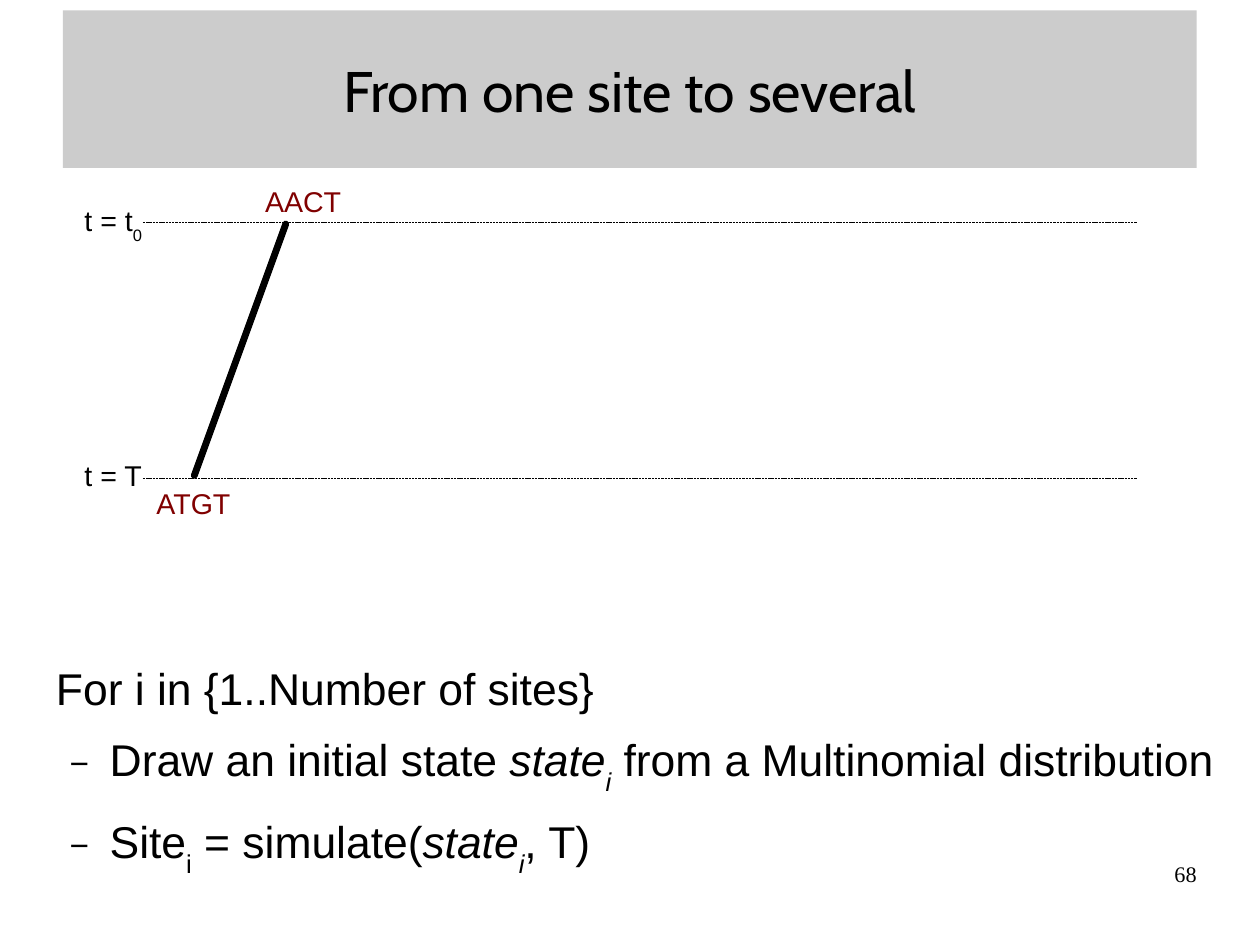
from lxml import etree
from pptx import Presentation
from pptx.dml.color import RGBColor
from pptx.enum.dml import MSO_LINE
from pptx.enum.shapes import MSO_CONNECTOR
from pptx.enum.text import MSO_ANCHOR, PP_ALIGN
from pptx.oxml.ns import qn
from pptx.util import Inches, Pt

STRAIGHT = MSO_CONNECTOR.STRAIGHT
DOTTED = MSO_LINE.SQUARE_DOT
MIDDLE = MSO_ANCHOR.MIDDLE
LEFT, CENTER, RIGHT = PP_ALIGN.LEFT, PP_ALIGN.CENTER, PP_ALIGN.RIGHT

COLORS = {"text": "000000", "band": "CCCCCC", "sequence": "800000"}
CM_PER_INCH = 2.54
TITLE_LAYOUT = 5
TIME_LINES = (1.95, 4.19)
STEPS = [
    [("Draw an initial state ", ""), ("state", "italic"), ("i", "italic sub"),
     (" from a Multinomial distribution", "")],
    [("Site", ""), ("i", "sub"), (" = simulate(", ""), ("state", "italic"),
     ("i", "italic sub"), (", T)", "")],
]


def color(name):
    """Return the named colour."""
    return RGBColor.from_string(COLORS[name])


def set_margins(frame, side, end):
    """Set the horizontal and vertical insets of a text frame."""
    frame.margin_left = frame.margin_right = Inches(side)
    frame.margin_top = frame.margin_bottom = Inches(end)


def add_spans(para, spans, size, ink="text", font="Arial"):
    """Fill a paragraph with styled runs."""
    for text, style in spans:
        span = para.add_run()
        span.text = text
        span.font.size = Pt(size)
        span.font.name = font
        span.font.color.rgb = color(ink)
        if "italic" in style:
            span.font.italic = True
        if "sub" in style:
            span._r.get_or_add_rPr().set("baseline", "-33000")


def add_box(page, left, top, width, height, margins=(0, 0), wrap=True):
    """Add an empty text box and return its frame."""
    box = page.shapes.add_textbox(Inches(left), Inches(top), Inches(width), Inches(height))
    frame = box.text_frame
    frame.word_wrap = wrap
    set_margins(frame, *margins)
    return frame


def add_label(page, left, top, width, spans, ink="text"):
    """Add a one-line diagram label."""
    frame = add_box(page, left, top, width, 0.39, (0.1, 0.05), False)
    frame.paragraphs[0].alignment = LEFT
    add_spans(frame.paragraphs[0], spans, 18, ink)


def add_line(page, start, end, width):
    """Add a plain black line and return it."""
    line = page.shapes.add_connector(STRAIGHT, *map(Inches, start + end))
    line.line.color.rgb = color("text")
    line.line.width = Pt(width)
    etree.SubElement(line._element.spPr, qn("a:effectLst"))
    return line


def add_title(page, text):
    """Place the title on its grey band."""
    title = page.shapes.title
    title.left, title.top = Inches(0.55), Inches(0.09)
    title.width, title.height = Inches(9.92), Inches(1.38)
    title.fill.solid()
    title.fill.fore_color.rgb = color("band")
    frame = title.text_frame
    set_margins(frame, 0, 0)
    frame.vertical_anchor = MIDDLE
    frame.paragraphs[0].alignment = CENTER
    add_spans(frame.paragraphs[0], [(text, "")], 36, font="Cabin")


def indent(para, left, hanging=0):
    """Set the left margin and hanging indent of a paragraph."""
    properties = para._p.get_or_add_pPr()
    properties.set("marL", str(Inches(left)))
    properties.set("indent", str(-Inches(hanging)))
    return properties


def add_bullet(para):
    """Give a paragraph a small dash bullet."""
    properties = indent(para, 0.94, 0.35)
    tint = etree.SubElement(properties, qn("a:buClr"))
    etree.SubElement(tint, qn("a:srgbClr"), val=COLORS["text"])
    etree.SubElement(properties, qn("a:buSzPct"), val="75000")
    etree.SubElement(properties, qn("a:buFont"), typeface="Arial")
    etree.SubElement(properties, qn("a:buChar"), char="−")


def add_algorithm(page):
    """Add the loop over sites with its bulleted steps."""
    frame = add_box(page, 0.02, 5.78, 10.8, 2.4)
    indent(frame.paragraphs[0], 0.47)
    add_spans(frame.paragraphs[0], [("For i in {1..Number of sites}", "")], 28)
    for step in STEPS:
        para = frame.add_paragraph()
        para.level = 1
        add_bullet(para)
        para.space_before = Pt(11.3)
        add_spans(para, step, 28)


def add_branch_diagram(page):
    """Draw the branch between the start and end times."""
    branch = add_line(page, (2.5, 1.96), (1.7, 4.16), 4.31)
    branch._element.spPr.find(qn("a:ln")).set("cap", "rnd")
    add_label(page, 0.64, 1.73, 0.72, [("t = t", ""), ("0", "sub")])
    add_label(page, 0.64, 3.96, 0.72, [("t = T", "")])
    for height in TIME_LINES:
        time_line = add_line(page, (1.25, height), (9.95, height), 0.5)
        time_line.line.dash_style = DOTTED
    add_label(page, 2.22, 1.56, 0.98, [("AACT", "")], "sequence")
    add_label(page, 1.27, 4.2, 0.98, [("ATGT", "")], "sequence")


def add_page_number(page, number):
    """Add the page number at the lower right."""
    para = add_box(page, 7.9, 7.53, 2.57, 0.57).paragraphs[0]
    para.alignment = RIGHT
    add_spans(para, [(number, "")], 14, font="Times New Roman")


def main():
    """Build the slide and save the deck."""
    deck = Presentation()
    deck.slide_width = Inches(28 / CM_PER_INCH)
    deck.slide_height = Inches(21 / CM_PER_INCH)
    page = deck.slides.add_slide(deck.slide_layouts[TITLE_LAYOUT])
    add_title(page, "From one site to several")
    add_branch_diagram(page)
    add_algorithm(page)
    add_page_number(page, "68")
    deck.save("out.pptx")


if __name__ == "__main__":
    main()
